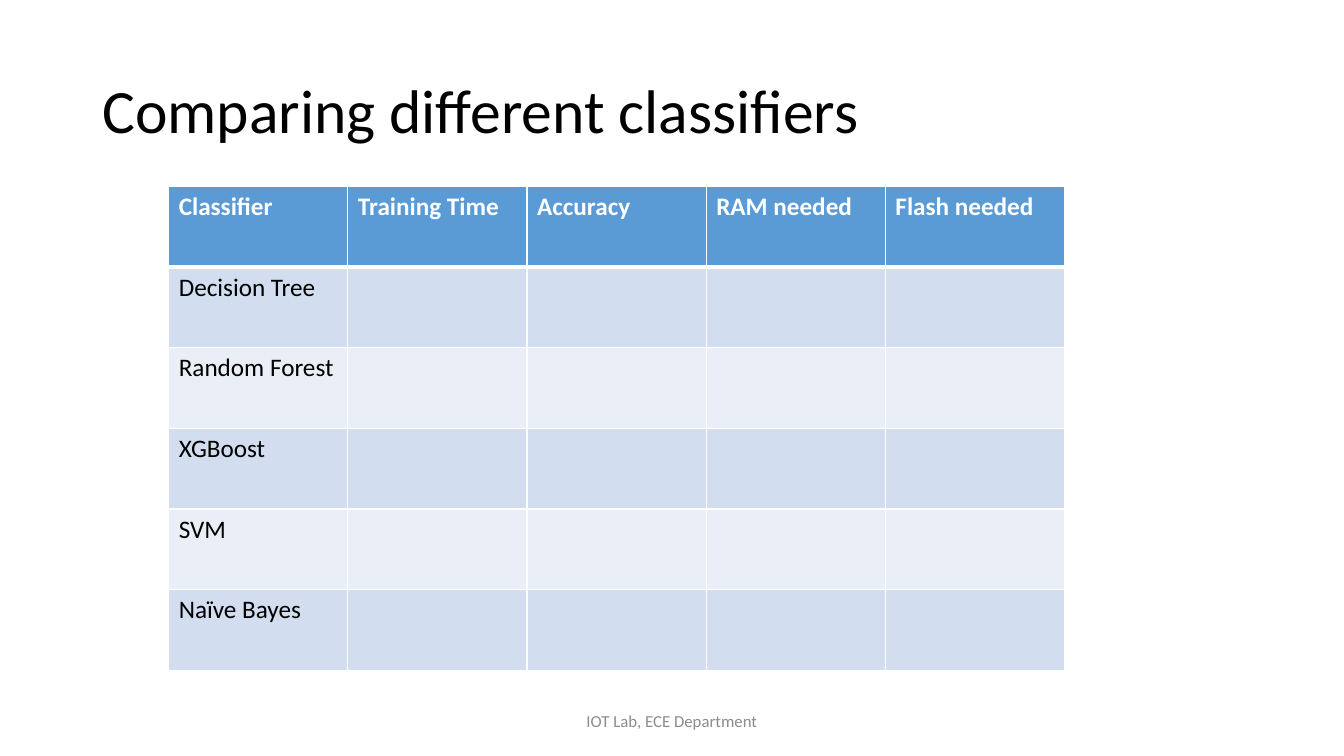
from lxml.etree import SubElement
from pptx import Presentation
from pptx.dml.color import RGBColor
from pptx.enum.text import MSO_ANCHOR, PP_ALIGN
from pptx.oxml.ns import qn
from pptx.util import Pt

FONT = "Calibri"
BLACK = RGBColor(0x00, 0x00, 0x00)
WHITE = RGBColor(0xFF, 0xFF, 0xFF)
GRAY = RGBColor(0x8C, 0x8C, 0x8C)
HEADER_BLUE = RGBColor(0x5B, 0x9B, 0xD5)
BAND_DARK = RGBColor(0xD2, 0xDE, 0xEF)
BAND_LIGHT = RGBColor(0xEA, 0xEF, 0xF7)

HEADERS = ["Classifier", "Training Time", "Accuracy", "RAM needed", "Flash needed"]
CLASSIFIERS = ["Decision Tree", "Random Forest", "XGBoost", "SVM", "Naïve Bayes"]
COLUMN_WIDTH = 128
ROW_HEIGHT = 57.6


def add_run(paragraph, text, size, color, bold=False):
    """Append one formatted run to a paragraph."""
    run = paragraph.add_run()
    run.text = text
    run.font.name = FONT
    run.font.size = Pt(size)
    run.font.bold = bold
    run.font.color.rgb = color


def place(shape, left, top, width, height):
    """Set the position and size of a shape in points."""
    shape.left, shape.top = Pt(left), Pt(top)
    shape.width, shape.height = Pt(width), Pt(height)


def add_title(slide, text):
    """Fill and format the title placeholder."""
    title = slide.shapes.title
    place(title, 66, 28.8, 828, 104.4)
    title.text_frame.vertical_anchor = MSO_ANCHOR.MIDDLE
    paragraph = title.text_frame.paragraphs[0]
    paragraph.alignment = PP_ALIGN.LEFT
    paragraph.line_spacing = 0.9
    add_run(paragraph, text, 44, BLACK)


def add_footer(slide, text):
    """Add the centred footer text."""
    footer = slide.shapes.add_textbox(Pt(318), Pt(500.5), Pt(324), Pt(28.8))
    footer.text_frame.word_wrap = True
    footer.text_frame.vertical_anchor = MSO_ANCHOR.MIDDLE
    paragraph = footer.text_frame.paragraphs[0]
    paragraph.alignment = PP_ALIGN.CENTER
    add_run(paragraph, text, 12, GRAY)


def set_borders(cell, top, bottom):
    """Draw white borders around a cell, with the given top and bottom widths."""
    properties = cell._tc.get_or_add_tcPr()
    for tag, width in (("a:lnL", 1), ("a:lnR", 1), ("a:lnT", top), ("a:lnB", bottom)):
        line = SubElement(properties, qn(tag), w=str(Pt(width)))
        fill = SubElement(line, qn("a:solidFill"))
        SubElement(fill, qn("a:srgbClr"), val=str(WHITE))


def format_cell(cell, row_index):
    """Give a cell the borders and fill of its row."""
    set_borders(cell, 3 if row_index == 1 else 1, 3 if row_index == 0 else 1)
    cell.fill.solid()
    band = BAND_DARK if row_index % 2 else BAND_LIGHT
    cell.fill.fore_color.rgb = band if row_index else HEADER_BLUE


def add_comparison_table(slide):
    """Add the classifier table with a header row and blank result cells."""
    row_count, column_count = len(CLASSIFIERS) + 1, len(HEADERS)
    table = slide.shapes.add_table(
        row_count, column_count, Pt(120.5), Pt(133.2),
        Pt(COLUMN_WIDTH * column_count), Pt(ROW_HEIGHT * row_count),
    ).table
    for row_index in range(row_count):
        for column_index in range(column_count):
            format_cell(table.cell(row_index, column_index), row_index)
    for column_index, header in enumerate(HEADERS):
        paragraph = table.cell(0, column_index).text_frame.paragraphs[0]
        add_run(paragraph, header, 18, WHITE, bold=True)
    for row_index, classifier in enumerate(CLASSIFIERS, start=1):
        paragraph = table.cell(row_index, 0).text_frame.paragraphs[0]
        add_run(paragraph, classifier, 18, BLACK)


def main():
    """Build the slide and save the presentation."""
    presentation = Presentation()
    presentation.slide_width, presentation.slide_height = Pt(960), Pt(540)
    slide = presentation.slides.add_slide(presentation.slide_layouts[5])
    add_title(slide, "Comparing different classifiers")
    add_footer(slide, "IOT Lab, ECE Department")
    add_comparison_table(slide)
    presentation.save("out.pptx")


if __name__ == "__main__":
    main()
